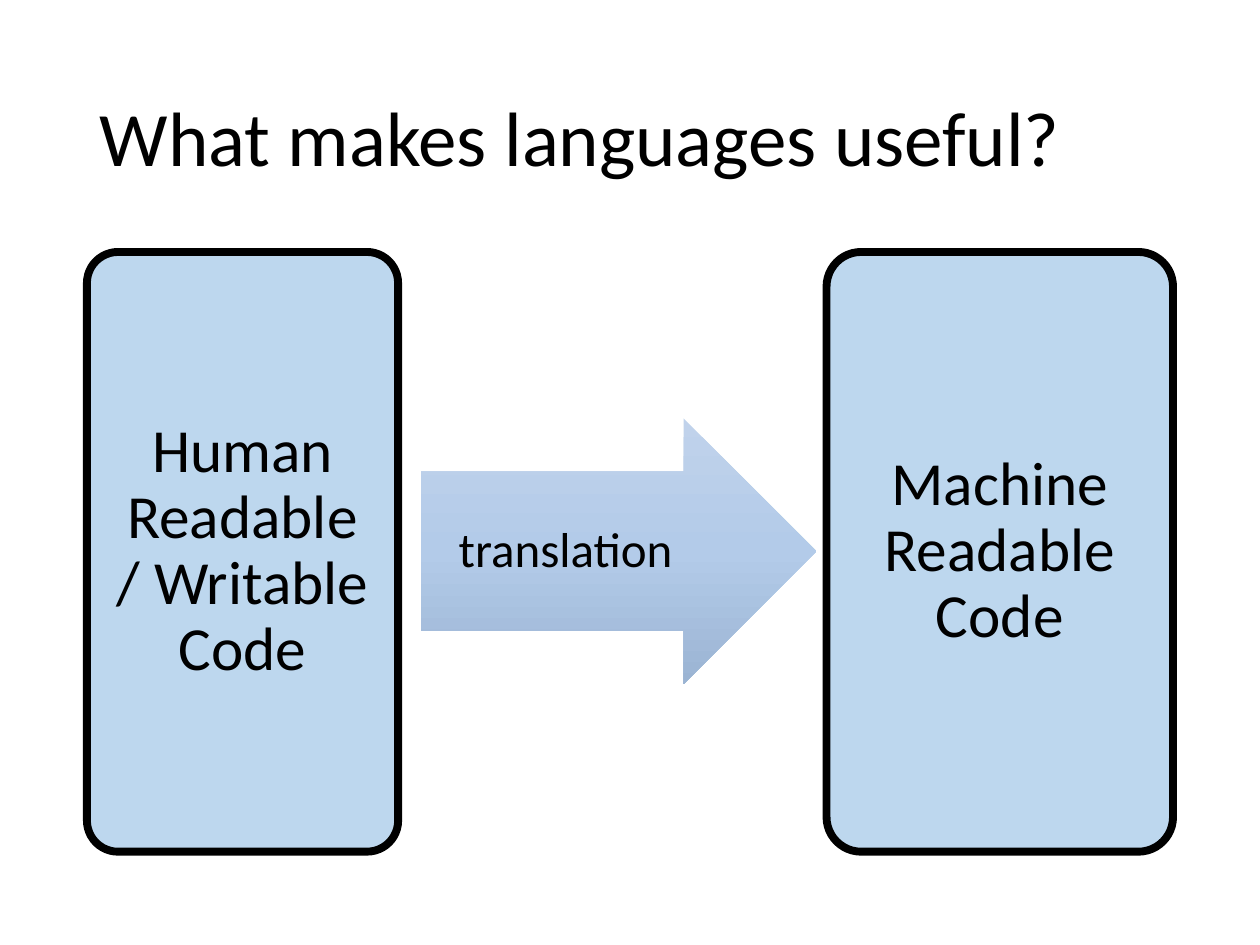
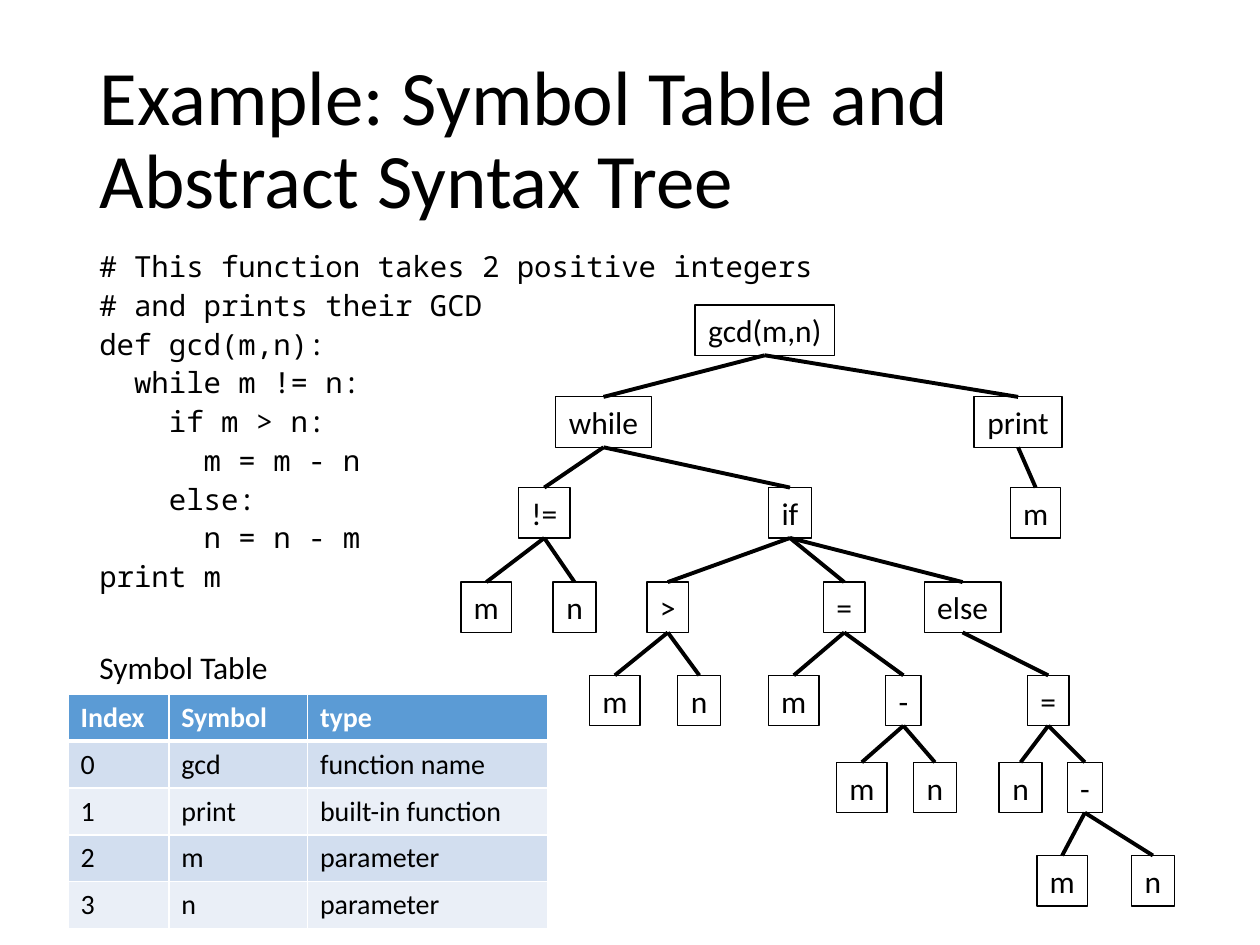
from copy import deepcopy

from lxml import etree
from pptx import Presentation
from pptx import util as u
from pptx.dml.color import RGBColor
from pptx.enum import shapes, text
from pptx.oxml import ns

WIDE, HIGH = 10, 7.5
EDGE, TOP = 0.69, 2
SPAN = WIDE - 2 * EDGE
FONT, MONO = "Calibri", "Noto Sans Mono"
BLACK, WHITE = "000000", "FFFFFF"
PALE, HEAD = "BDD7EE", "5B9BD5"
BANDS = ("D2DEEF", "EAEFF7")
FADE = ("C0D2EB", "B3CBE9", "9BB4D3")
LEFT, MID = text.PP_ALIGN.LEFT, text.PP_ALIGN.CENTER
KIND = shapes.MSO_SHAPE

CODE = """# This function takes 2 positive integers
# and prints their GCD
def gcd(m,n):
  while m != n:
    if m > n:
      m = m - n
    else:
      n = n - m
print m"""

ROWS = (
    ("Index", "Symbol", "type"),
    ("0", "gcd", "function name"),
    ("1", "print", "built-in function"),
    ("2", "m", "parameter"),
    ("3", "n", "parameter"),
)
COLS = (0.8, 1.1, 1.91)

NODE = 0.4
TIERS = (2.42, 3.15, 3.87, 4.62, 5.36, 6.05, 6.79)
SIZES = {"gcd(m,n)": 1.11, "while": 0.76, "print": 0.7, "else": 0.61, "!=": 0.41,
         "m": 0.4, "n": 0.34, "if": 0.34, ">": 0.33, "=": 0.33, "-": 0.28}
TREE = ("gcd(m,n)", 6.07, [
    ("while", 4.79, [
        ("!=", 4.32, [("m", 3.86, []), ("n", 4.56, [])]),
        ("if", 6.27, [
            (">", 5.3, [("m", 4.88, []), ("n", 5.55, [])]),
            ("=", 6.7, [
                ("m", 6.3, []),
                ("-", 7.17, [("m", 6.84, []), ("n", 7.42, [])]),
            ]),
            ("else", 7.64, [
                ("=", 8.32, [
                    ("n", 8.1, []),
                    ("-", 8.61, [("m", 8.43, []), ("n", 9.15, [])]),
                ]),
            ]),
        ]),
    ]),
    ("print", 8.08, [("m", 8.22, [])]),
])


def tint(code):
    """Turn a hex string into a colour."""
    return RGBColor.from_string(code)


def place(*nums):
    """Turn inches into slide lengths."""
    return [u.Inches(n) for n in nums]


def write(frame, words, size=18, font=FONT, color=BLACK, bold=False, align=LEFT,
          lead=1.0, gap=0, pads=(0.1, 0.05, 0.1, 0.05),
          anchor=text.MSO_ANCHOR.MIDDLE, wrap=True):
    """Fill a text frame, one paragraph a line."""
    frame.word_wrap = wrap
    frame.auto_size = text.MSO_AUTO_SIZE.NONE
    frame.vertical_anchor = anchor
    (frame.margin_left, frame.margin_top,
     frame.margin_right, frame.margin_bottom) = place(*pads)
    for i, line in enumerate(words.split("\n")):
        para = frame.add_paragraph() if i else frame.paragraphs[0]
        para.alignment, para.line_spacing = align, lead
        para.space_before = u.Pt(gap if i else 0)
        run = para.add_run()
        run.text = line
        run.font.size, run.font.name, run.font.bold = u.Pt(size), font, bold
        run.font.color.rgb = tint(color)


def page(deck, words):
    """Add a slide with its title."""
    slide = deck.slides.add_slide(deck.slide_layouts[5])
    head = slide.shapes.title
    head.left, head.top, head.width, head.height = place(EDGE, 0.4, SPAN, 1.45)
    write(head.text_frame, words, size=44, lead=0.9)
    return slide


def block(slide, kind, area, fill=None, line=0):
    """Add a preset shape with a plain fill and a black line."""
    shape = slide.shapes.add_shape(kind, *place(*area))
    shape.shadow.inherit = False
    if fill:
        shape.fill.solid()
        shape.fill.fore_color.rgb = tint(fill)
    else:
        shape.fill.background()
    if line:
        shape.line.color.rgb = tint(BLACK)
        shape.line.width = u.Pt(line)
    else:
        shape.line.fill.background()
    return shape


def panel(slide, left, width, words):
    """Add a tall rounded box."""
    shape = block(slide, KIND.ROUNDED_RECTANGLE, (left, TOP, width, 4.76), PALE, 4.5)
    shape.adjustments[0] = 0.1
    write(shape.text_frame, words, size=35, align=MID, lead=0.9, pads=[0.15] * 4)


def arrow(slide, area, words):
    """Add a shaded block arrow."""
    shape = block(slide, KIND.RIGHT_ARROW, area)
    shape.adjustments[0], shape.adjustments[1] = 0.6, 0.5
    shape.fill.gradient()
    shape.fill.gradient_angle = 270
    stops = shape._element.spPr.find(ns.qn("a:gradFill")).find(ns.qn("a:gsLst"))
    stops.append(deepcopy(stops[-1]))
    for i, (stop, code) in enumerate(zip(shape.fill.gradient_stops, FADE)):
        stop.color.rgb = tint(code)
        stop.position = i / 2
    write(shape.text_frame, words, size=28, align=MID, lead=0.9, pads=(0, 0, 0.21, 0))


def label(slide, area, words, **form):
    """Add a text box."""
    box = slide.shapes.add_textbox(*place(*area))
    write(box.text_frame, words, anchor=text.MSO_ANCHOR.TOP, **form)


def link(slide, start, end):
    """Draw a straight line between two points."""
    line = slide.shapes.add_connector(shapes.MSO_CONNECTOR.STRAIGHT, *place(*start, *end))
    line.line.color.rgb = tint(BLACK)
    line.line.width = u.Pt(2.25)
    etree.SubElement(line._element.spPr, ns.qn("a:effectLst"))


def grow(slide, tree, tier=0):
    """Draw a node, its children and the lines to them."""
    words, mid, kids = tree
    wide = SIZES[words]
    area = (mid - wide / 2, TIERS[tier], wide, NODE)
    shape = block(slide, KIND.RECTANGLE, area, line=0.75)
    write(shape.text_frame, words, align=MID, wrap=False)
    for kid in kids:
        grow(slide, kid, tier + 1)
        link(slide, (mid, TIERS[tier] + NODE), (kid[1], TIERS[tier + 1]))


def rule(cell, row):
    """Give a cell white borders, thick under the header."""
    thick = {"T": 3 if row == 1 else 1, "B": 3 if row == 0 else 1}
    props = cell._tc.get_or_add_tcPr()
    for i, side in enumerate("LRTB"):
        line = etree.Element(ns.qn("a:ln" + side), w=str(u.Pt(thick.get(side, 1))))
        fill = etree.SubElement(line, ns.qn("a:solidFill"))
        etree.SubElement(fill, ns.qn("a:srgbClr"), val=WHITE)
        props.insert(i, line)


def grid(slide, left, top, rows, cols, high):
    """Add a banded table."""
    area = place(left, top, sum(cols), high * len(rows))
    table = slide.shapes.add_table(len(rows), len(cols), *area).table
    for col, wide in zip(table.columns, cols):
        col.width = u.Inches(wide)
    for r, row in enumerate(rows):
        for c, words in enumerate(row):
            cell = table.cell(r, c)
            cell.fill.solid()
            cell.fill.fore_color.rgb = tint(BANDS[(r - 1) % 2] if r else HEAD)
            rule(cell, r)
            cell.vertical_anchor = text.MSO_ANCHOR.MIDDLE
            para = cell.text_frame.paragraphs[0]
            run = para.add_run()
            run.text = words
            run.font.size, run.font.name, run.font.bold = u.Pt(16), FONT, r == 0
            run.font.color.rgb = tint(BLACK if r else WHITE)


def main():
    """Build both slides."""
    deck = Presentation()
    deck.slide_width, deck.slide_height = place(WIDE, HIGH)

    slide = page(deck, "What makes languages useful?")
    panel(slide, EDGE, 2.47, "Human Readable / Writable Code")
    arrow(slide, (3.34, 3.32, 3.14, 2.11), "translation")
    panel(slide, 6.56, 2.75, "Machine Readable Code")

    slide = page(deck, "Example: Symbol Table and Abstract Syntax Tree")
    label(slide, (EDGE, TOP, 9.17, 3.09), CODE, size=16.6, font=MONO, lead=0.7, gap=8.2)
    grow(slide, TREE)
    grid(slide, 0.54, 5.51, ROWS, COLS, 0.36)
    label(slide, (EDGE, 5.09, 1.55, NODE), "Symbol Table", wrap=False)

    deck.save("out.pptx")


if __name__ == "__main__":
    main()
